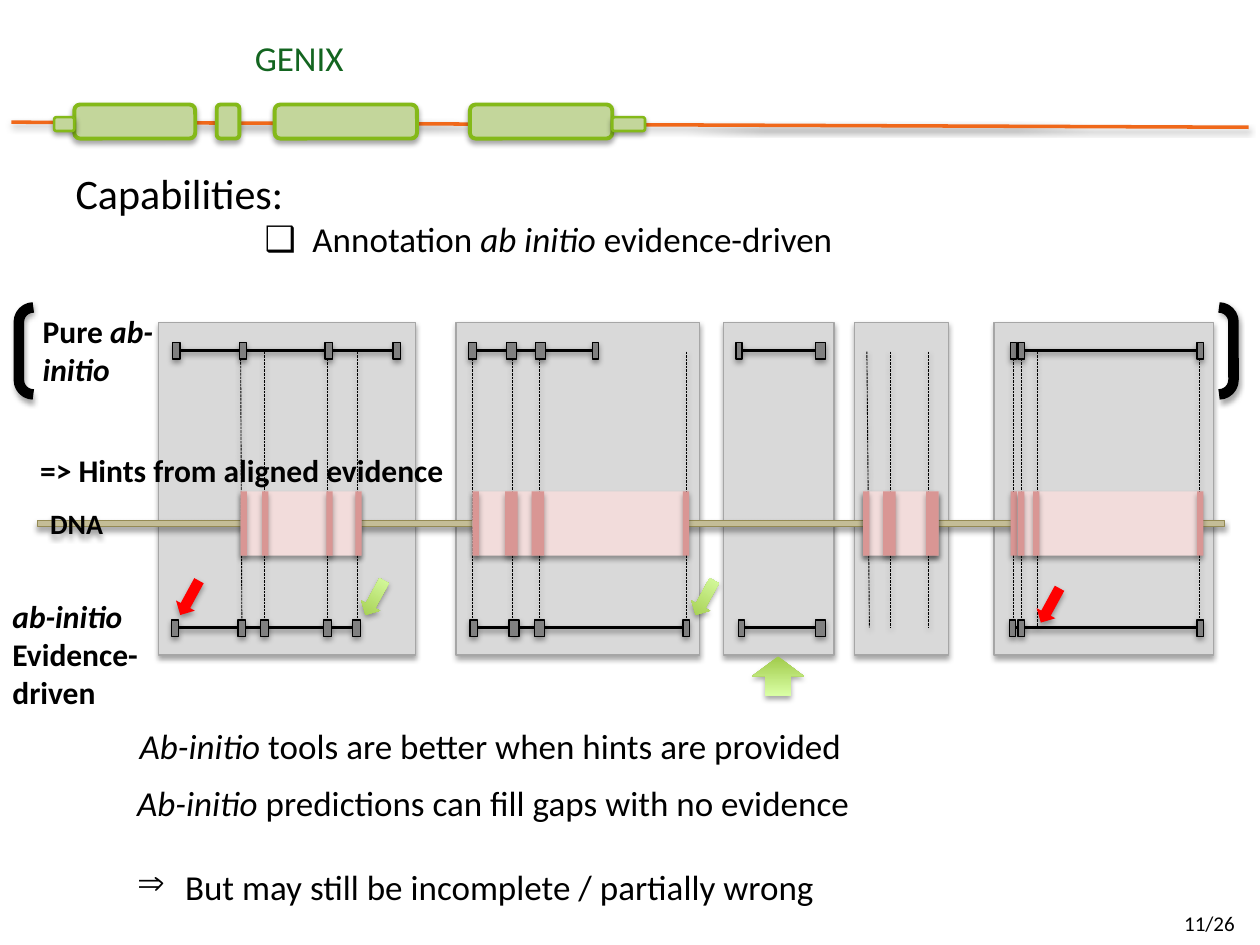
"""Build a slide on evidence-driven ab initio gene annotation."""
import lxml.etree
import pptx
import pptx.dml.color
import pptx.enum.dml
import pptx.enum.shapes
import pptx.enum.text
import pptx.oxml.ns
import pptx.util

Inches = pptx.util.Inches
RGBColor = pptx.dml.color.RGBColor
KIND = pptx.enum.shapes.MSO_SHAPE
ANCHOR = pptx.enum.text.MSO_ANCHOR
qn = pptx.oxml.ns.qn

BLACK = RGBColor(0x00, 0x00, 0x00)
TITLE_GREEN = RGBColor(0x13, 0x65, 0x20)
ORANGE = RGBColor(0xF0, 0x68, 0x1A)
GENE_FILL = RGBColor(0xC3, 0xD6, 0x9B)
GENE_LINE = RGBColor(0x84, 0xB9, 0x19)
PANEL_FILL = RGBColor(0xD9, 0xD9, 0xD9)
PANEL_LINE = RGBColor(0xA6, 0xA6, 0xA6)
DNA_FILL = RGBColor(0xC4, 0xBD, 0x97)
DNA_LINE = RGBColor(0x94, 0x8A, 0x54)
PINK = RGBColor(0xF2, 0xDC, 0xDB)
ROSE = RGBColor(0xD9, 0x96, 0x94)
EXON_GREY = RGBColor(0x80, 0x80, 0x80)
RED = RGBColor(0xFF, 0x00, 0x00)
ARROW_DARK = RGBColor(0xA0, 0xCA, 0x4A)
ARROW_LIGHT = RGBColor(0xDA, 0xFF, 0xA5)

deck = pptx.Presentation()
deck.slide_width, deck.slide_height = Inches(10), Inches(7.5)
page = deck.slides.add_slide(deck.slide_layouts[1])
title, body = page.placeholders
drawn = []


def add_block(kind, place, fill=None, line=None, weight=0.75):
    block = page.shapes.add_shape(kind, *map(Inches, place))
    if fill is None:
        block.fill.background()
    else:
        block.fill.solid()
        block.fill.fore_color.rgb = fill
    if line is None:
        block.line.fill.background()
    else:
        block.line.color.rgb = line
        block.line.width = pptx.util.Pt(weight)
    drawn.append((block, 35, 1.8))
    return block


def add_wire(start, end, color=BLACK, weight=2):
    wire = page.shapes.add_connector(
        pptx.enum.shapes.MSO_CONNECTOR.STRAIGHT, *map(Inches, start + end))
    wire.line.color.rgb = color
    wire.line.width = pptx.util.Pt(weight)
    drawn.append((wire, 38, 1.6))
    return wire


add_wire((0.09, 0.97), (9.91, 1.01), ORANGE)
for left, width in [(0.59, 0.96), (1.72, 0.18), (2.18, 1.13), (3.73, 1.13)]:
    add_block(KIND.ROUNDED_RECTANGLE, (left, 0.83, width, 0.27), GENE_FILL, GENE_LINE, 2.25)
for left, width in [(4.86, 0.26), (0.43, 0.16)]:
    add_block(KIND.ROUNDED_RECTANGLE, (left, 0.93, width, 0.11), GENE_FILL, GENE_LINE, 1.5)

for left, width in [(7.89, 1.74), (6.78, 0.75), (5.74, 0.88), (3.62, 1.93), (1.26, 2.04)]:
    add_block(KIND.RECTANGLE, (left, 2.56, width, 2.64), PANEL_FILL, PANEL_LINE)

guides = [(x, x) for x in (2.1, 2.6, 2.84, 3.75, 4.07, 4.28, 5.45, 7.07, 7.37,
                           8.04, 8.11, 8.23, 9.52)]
for top_x, bottom_x in guides + [(1.91, 1.92), (6.88, 6.9)]:
    guide = add_wire((top_x, 2.79), (bottom_x, 4.98), weight=0.5)
    guide.line.dash_style = pptx.enum.dml.MSO_LINE.SQUARE_DOT

dna = add_block(KIND.RECTANGLE, (0.3, 4.13, 9.42, 0.05), DNA_FILL, DNA_LINE)

evidence = [
    ((1.91, 0.96), [(1.91, 0.05), (2.08, 0.05), (2.59, 0.05), (2.82, 0.05)]),
    ((3.75, 1.67), [(3.75, 0.05), (4.01, 0.1), (4.22, 0.1), (5.42, 0.05)]),
    ((6.85, 0.6), [(6.85, 0.05), (7.01, 0.1), (7.35, 0.1)]),
    ((8.07, 1.44), [(8.02, 0.05), (8.08, 0.05), (8.2, 0.05), (9.5, 0.05)]),
]
for (left, width), hints in evidence:
    add_block(KIND.RECTANGLE, (left, 3.9, width, 0.51), PINK)
    for hint_left, hint_width in hints:
        add_block(KIND.RECTANGLE, (hint_left, 3.9, hint_width, 0.51), ROSE)

pure_models = [
    [(1.37, 0.06), (1.9, 0.06), (2.58, 0.06), (3.12, 0.06)],
    [(3.72, 0.06), (4.02, 0.08), (4.25, 0.08), (4.7, 0.05)],
    [(5.84, 0.05), (6.47, 0.08)],
    [(8.02, 0.05), (8.08, 0.05), (9.5, 0.05)],
]
driven_models = [
    [(1.36, 0.06), (1.89, 0.06), (2.07, 0.06), (2.57, 0.06), (2.8, 0.06)],
    [(3.73, 0.06), (4.04, 0.08), (4.24, 0.08), (5.42, 0.05)],
    [(5.86, 0.05), (6.47, 0.08)],
    [(8.01, 0.05), (8.08, 0.05), (9.5, 0.05)],
]
for middle, models in [(2.78, pure_models), (4.98, driven_models)]:
    for exons in models:
        add_wire((sum(exons[0]), middle), (exons[-1][0], middle))
        for left, width in exons:
            add_block(KIND.RECTANGLE, (left, middle - 0.06, width, 0.13), EXON_GREY, BLACK)

add_block(KIND.DOUBLE_BRACKET, (0.15, 2.44, 9.64, 0.69), None, BLACK, 6)

for place, turn, fill in [
    ((2.89, 4.59, 0.17, 0.31), 28.6, None),
    ((5.51, 4.59, 0.17, 0.31), 28.6, None),
    ((8.25, 4.65, 0.17, 0.31), 28.6, RED),
    ((1.42, 4.59, 0.17, 0.31), 28.6, RED),
    ((5.97, 5.21, 0.41, 0.31), 180, None),
]:
    arrow = add_block(KIND.DOWN_ARROW, place, fill)
    arrow.rotation = turn
    if fill is None:
        arrow.fill.gradient()
        arrow.fill.gradient_angle = 90
        for stop, color in zip(arrow.fill.gradient_stops, (ARROW_DARK, ARROW_LIGHT)):
            stop.color.rgb = color

texts = [
    (title, (0.5, 0.22, 3.75, 0.48), 20, False, [(None, 0, [("GENIX", False)])]),
    (body, (0.5, 1.28, 9.27, 0.84), 20, False, [
        (None, 0, [("Capabilities:", False)]),
        ("❑", 1.88, [("Annotation ", False), ("ab initio ", True), ("evidence-driven", False)])]),
    (dna, None, 16, True, [(None, 0, [("DNA", False)])]),
    (None, (0.24, 2.43, 1.11, 0.71), 18, True, [
        (None, 0, [("Pure ", False), ("ab-initio", True)])]),
    (None, (0, 4.69, 1.58, 1.01), 18, True, [
        (None, 0, [("ab-initio", True)]), (None, 0, [("Evidence-driven", False)])]),
    (None, (0.22, 3.53, 3.46, 0.4), 18, True, [
        (None, 0, [("=> Hints from aligned evidence", False)])]),
    (None, (1.01, 5.7, 6.44, 0.44), 20, False, [
        (None, 0, [("Ab-initio ", True), ("tools are better when hints are provided", False)])]),
    (None, (0.99, 6.15, 5.93, 0.44), 20, False, [
        (None, 0, [("Ab-initio ", True), ("predictions can fill gaps with no evidence", False)])]),
    (None, (0.99, 6.82, 9.02, 0.44), 20, False, [
        ("⇒", 0.38, [("But may still be incomplete / partially wrong", False)])]),
    (None, (9.3, 7.18, 0.7, 0.32), 12, False, [(None, 0, [("11/26", False)])]),
]
for box, place, size, bold, paragraphs in texts:
    if box is None:
        box = page.shapes.add_textbox(*map(Inches, place))
    elif place:
        box.left, box.top, box.width, box.height = map(Inches, place)
    frame = box.text_frame
    frame.word_wrap = True
    frame.auto_size = pptx.enum.text.MSO_AUTO_SIZE.NONE
    frame.vertical_anchor = ANCHOR.MIDDLE if box in (title, dna) else ANCHOR.TOP
    for index, (marker, indent, runs) in enumerate(paragraphs):
        para = frame.paragraphs[0] if index == 0 else frame.add_paragraph()
        para.alignment = (pptx.enum.text.PP_ALIGN.CENTER if box is title
                          else pptx.enum.text.PP_ALIGN.LEFT)
        para.space_before = pptx.util.Pt(0)
        settings = para._p.get_or_add_pPr()
        settings.set("marL", str(Inches(indent)))
        settings.set("indent", str(Inches(-0.38 if marker else 0)))
        bullet = lxml.etree.SubElement(settings, qn("a:buChar" if marker else "a:buNone"))
        if marker:
            bullet.set("char", marker)
        for words, italic in runs:
            span = para.add_run()
            span.text = words
            span.font.name = "Calibri"
            span.font.size = pptx.util.Pt(24 if box is body and index == 0 else size)
            span.font.bold = bold
            span.font.italic = italic
            span.font.color.rgb = TITLE_GREEN if box is title else BLACK

for item, opacity, distance in drawn:
    effects = lxml.etree.SubElement(item._element.spPr, qn("a:effectLst"))
    shadow = lxml.etree.SubElement(
        effects, qn("a:outerShdw"), blurRad=str(pptx.util.Pt(3.1)),
        dist=str(pptx.util.Pt(distance)), dir="5400000", rotWithShape="0")
    shade = lxml.etree.SubElement(shadow, qn("a:srgbClr"), val=str(BLACK))
    lxml.etree.SubElement(shade, qn("a:alpha"), val=str(opacity * 1000))

deck.save("out.pptx")
